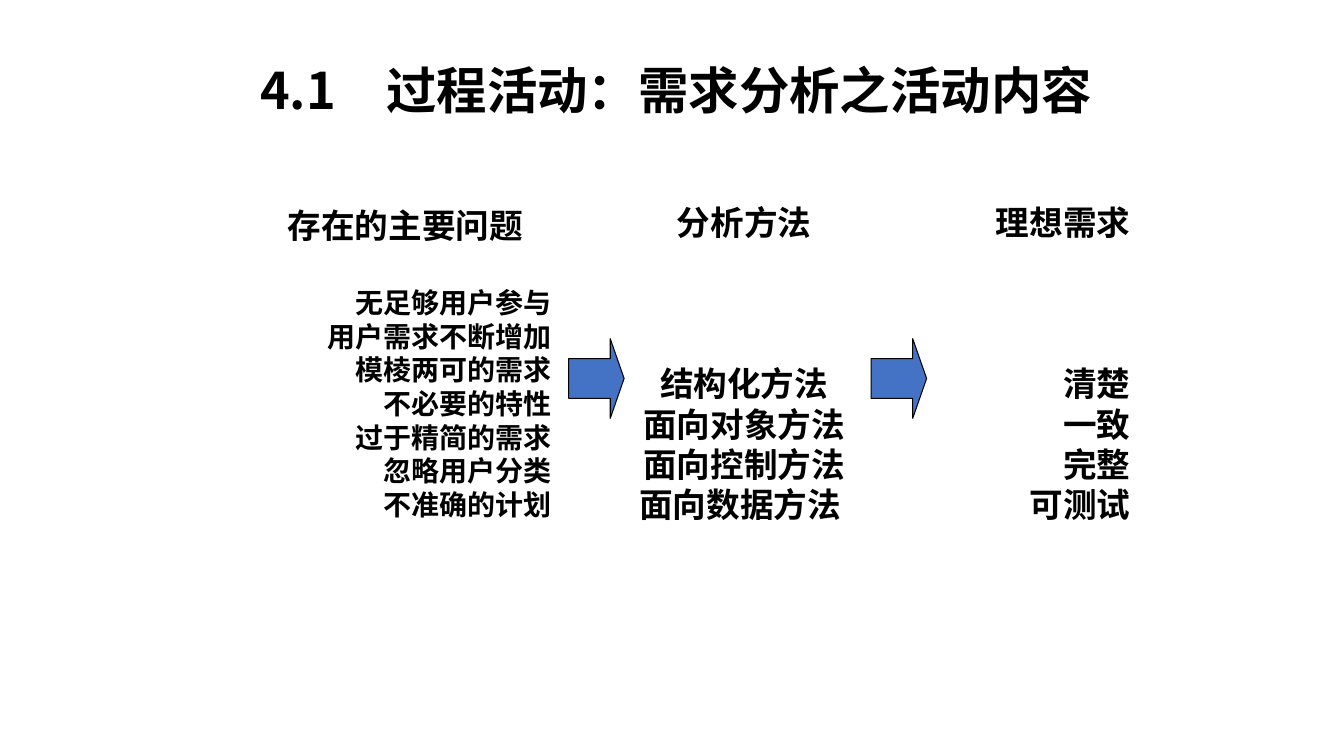
import pptx
import pptx.util
import pptx.dml.color
import pptx.enum.shapes
import pptx.enum.text
from dataclasses import dataclass

Inches, Pt = pptx.util.Inches, pptx.util.Pt
RGB = pptx.dml.color.RGBColor
ALIGN = pptx.enum.text.PP_ALIGN
ANCHOR = pptx.enum.text.MSO_ANCHOR

# Content
TITLE = "4.1　过程活动：需求分析之活动内容"
TITLE_BOX = (1.86, 0.54, 9.69, 0.7)
COLUMNS = [
    dict(box=(2.1, 1.97, 3.47, 3.26), heading="存在的主要问题",
         heading_align=ALIGN.CENTER, align=ALIGN.RIGHT, size=20, gap_lines=1,
         margins={0: ("marL", 0.37)},
         items=["无足够用户参与", "用户需求不断增加", "模棱两可的需求", "不必要的特性",
                "过于精简的需求", "忽略用户分类", "不准确的计划"]),
    dict(box=(6.04, 1.94, 2.68, 3.33), heading="分析方法",
         heading_align=ALIGN.CENTER, align=ALIGN.CENTER, size=24, gap_lines=3,
         margins={4: ("marR", 0.08)},
         items=["结构化方法", "面向对象方法", "面向控制方法", "面向数据方法"]),
    dict(box=(9.46, 1.94, 1.85, 3.33), heading="理想需求",
         heading_align=ALIGN.RIGHT, align=ALIGN.RIGHT, size=24, gap_lines=3,
         margins={}, items=["清楚", "一致", "完整", "可测试"]),
]
ARROW_LEFTS = [5.64, 8.64]
ARROW_TOP, ARROW_WIDTH, ARROW_HEIGHT = 3.36, 0.55, 0.79


@dataclass
class Theme:
    font: str = "Noto Sans CJK SC"
    text: RGB = RGB(0, 0, 0)
    arrow: RGB = RGB(0x44, 0x72, 0xC4)
    title: int = 36
    heading: int = 24
    pitch: float = 1.2  # line height per point of type


theme = Theme()


def add_text(slide, box, lines, anchor):
    """Each line is (text, size, alignment, space before in points)."""
    tf = slide.shapes.add_textbox(*map(Inches, box)).text_frame
    tf.word_wrap = True
    tf.vertical_anchor = anchor
    for i, (text, size, align, before) in enumerate(lines):
        p = tf.paragraphs[0] if i == 0 else tf.add_paragraph()
        r = p.add_run()
        r.text = text
        p.alignment = align
        p.line_spacing = Pt(size * theme.pitch)
        p.space_before = Pt(before)
        p.font.size, p.font.bold = Pt(size), True
        p.font.name, p.font.color.rgb = theme.font, theme.text
        # East Asian typeface
        ea = pptx.oxml.xmlchemy.OxmlElement("a:ea")
        ea.set("typeface", theme.font)
        r.font.name = theme.font
        r.font.size, r.font.bold = Pt(size), True
        r.font.color.rgb = theme.text
        r.font._element.find(pptx.oxml.ns.qn("a:latin")).addnext(ea)
    return tf


def add_column(slide, column):
    gap = column["gap_lines"] * theme.heading * theme.pitch
    lines = [(column["heading"], theme.heading, column["heading_align"], 0)]
    lines += [(item, column["size"], column["align"], 0 if i else gap)
              for i, item in enumerate(column["items"])]
    tf = add_text(slide, column["box"], lines, ANCHOR.MIDDLE)
    for i, (side, width) in column["margins"].items():
        tf.paragraphs[i]._p.get_or_add_pPr().set(side, str(Inches(width)))


def add_arrow(slide, left):
    s = slide.shapes.add_shape(
        pptx.enum.shapes.MSO_SHAPE.RIGHT_ARROW,
        *map(Inches, (left, ARROW_TOP, ARROW_WIDTH, ARROW_HEIGHT)))
    s.adjustments[0], s.adjustments[1] = 0.5, 0.25
    s.shadow.inherit = False
    s.fill.solid()
    s.fill.fore_color.rgb = theme.arrow
    s.line.color.rgb = theme.text
    s.line.width = Pt(0.75)


def main():
    prs = pptx.Presentation()
    prs.slide_width, prs.slide_height = Inches(13.33), Inches(7.5)
    slide = prs.slides.add_slide(prs.slide_layouts[6])

    # Title
    add_text(slide, TITLE_BOX, [(TITLE, theme.title, ALIGN.CENTER, 0)], ANCHOR.TOP)
    # Problems, methods and ideal requirements
    for column in COLUMNS:
        add_column(slide, column)
    # Arrows between the columns
    for left in ARROW_LEFTS:
        add_arrow(slide, left)

    prs.save("out.pptx")


if __name__ == "__main__":
    main()
